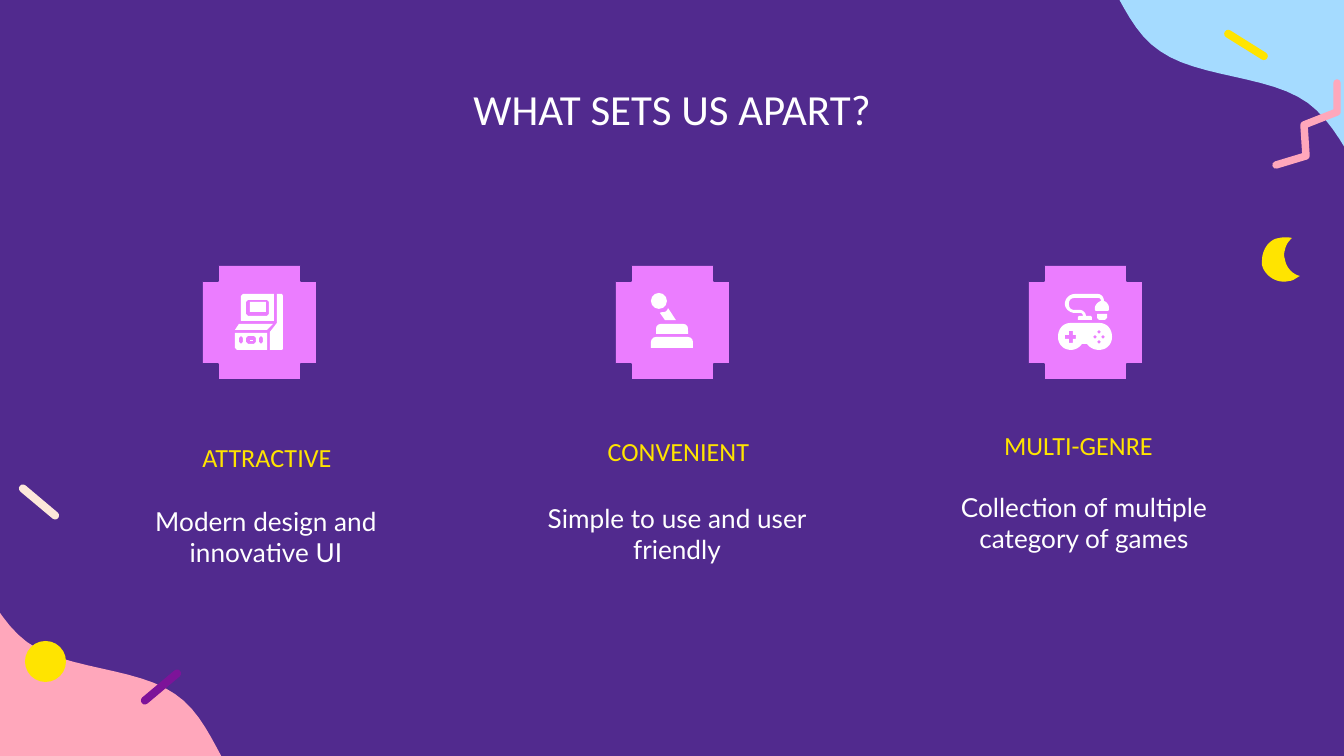
import dataclasses
import typing

import pptx
import pptx.dml.color
import pptx.enum.shapes
import pptx.enum.text
import pptx.oxml
import pptx.oxml.ns
import pptx.util

EMU_PER_PX = 914400 / 134.4
PURPLE, PINK, SKY, SALMON = "512A8E", "EB7DFF", "A5DBFF", "FFA7BB"
YELLOW, WHITE, PLUM, CREAM = "FFE400", "FFFFFF", "7D1399", "FDE8DA"
KIND = pptx.enum.shapes.MSO_SHAPE
CURVE_STEPS = 12
TILE_LEFT, TILE_TOP, TILE_SIZE, TILE_STEP, NOTCH = 203, 266, 113, 413, 15

Point = tuple[float, float]


@dataclasses.dataclass(frozen=True)
class Label:
    wording: str
    box: tuple[int, int, int, int]
    size: int
    font: str
    colour: str


@dataclasses.dataclass(frozen=True)
class Block:
    kind: KIND
    box: tuple[int, int, int, int]
    colour: str
    angle: int = 0
    rounding: float | None = None
    outline: str | None = None


@dataclasses.dataclass(frozen=True)
class Outline:
    contours: tuple[str, ...]
    colour: str = WHITE


def px(length: float) -> int:
    return round(length * EMU_PER_PX)


def rgb(colour: str) -> pptx.dml.color.RGBColor:
    return pptx.dml.color.RGBColor.from_string(colour)


def set_format(target: typing.Any, values: dict[str, typing.Any]) -> None:
    for name, value in values.items():
        setattr(target, name, value)


def paint(shape: typing.Any, colour: str, outline: str | None = None) -> None:
    shape.shadow.inherit = False
    shape.fill.solid()
    shape.fill.fore_color.rgb = rgb(colour)
    if outline:
        shape.line.color.rgb = rgb(outline)
        shape.line.width = pptx.util.Pt(0.75)
    else:
        shape.line.fill.background()


def trace(contour: str) -> list[Point]:
    """Turns 'x,y' corners into points; C starts a cubic curve of three."""
    points: list[Point] = []
    tokens = iter(contour.split())

    def read(token: str) -> Point:
        x, y = token.split(",")
        return int(x), int(y)

    for token in tokens:
        if token != "C":
            points.append(read(token))
            continue
        a, b, c, d = points[-1], *(read(next(tokens)) for _ in range(3))
        for step in range(1, CURVE_STEPS + 1):
            t = step / CURVE_STEPS
            weights = ((1 - t) ** 3, 3 * t * (1 - t) ** 2, 3 * t * t * (1 - t), t ** 3)
            points.append(tuple(sum(w * p[axis] for w, p in zip(weights, (a, b, c, d)))
                                for axis in (0, 1)))
    return points


def build(shapes: typing.Any, contours: list[list[Point]], close: bool = True) -> typing.Any:
    builder = None
    for contour in contours:
        first, *rest = [(px(x), px(y)) for x, y in contour]
        if builder is None:
            builder = shapes.build_freeform(*first)
        else:
            builder.move_to(*first)
        builder.add_line_segments(rest, close=close)
    return builder.convert_to_shape()


def draw(shapes: typing.Any, part: Block | Outline) -> None:
    if isinstance(part, Outline):
        paint(build(shapes, [trace(contour) for contour in part.contours]), part.colour)
        return
    shape = shapes.add_shape(part.kind, *map(px, part.box))
    shape.rotation = part.angle
    if part.rounding is not None:
        shape.adjustments[0] = part.rounding
    paint(shape, part.colour, part.outline)


def draw_zigzag(shapes: typing.Any, corners: str, colour: str) -> None:
    zigzag = build(shapes, [trace(corners)], close=False)
    zigzag.shadow.inherit = False
    zigzag.fill.background()
    zigzag.line.color.rgb = rgb(colour)
    zigzag.line.width = pptx.util.Pt(4)
    stroke = zigzag.element.spPr.find(pptx.oxml.ns.qn("a:ln"))
    stroke.set("cap", "rnd")
    stroke.append(pptx.oxml.parse_xml(f'<a:round {pptx.oxml.ns.nsdecls("a")}/>'))


def draw_label(shapes: typing.Any, label: Label) -> None:
    frame = shapes.add_textbox(*map(px, label.box)).text_frame
    set_format(frame, {"word_wrap": True,
                       "vertical_anchor": pptx.enum.text.MSO_ANCHOR.MIDDLE,
                       **{f"margin_{side}": px(13) for side in ("left", "top", "right", "bottom")}})
    paragraph = frame.paragraphs[0]
    paragraph.alignment = pptx.enum.text.PP_ALIGN.CENTER
    run = paragraph.add_run()
    run.text = label.wording
    set_format(run.font, {"size": pptx.util.Pt(label.size), "name": label.font})
    run.font.color.rgb = rgb(label.colour)


def strip(x: int, y: int, angle: int, colour: str) -> Block:
    return Block(KIND.ROUNDED_RECTANGLE, (x - 25, y - 4, 50, 8), colour, angle, 0.5)


def tile(left: int) -> list[Block]:
    far = TILE_SIZE - NOTCH
    notches = [Block(KIND.RECTANGLE, (left + x, TILE_TOP + y, NOTCH, NOTCH), PURPLE, outline=PURPLE)
               for y in (0, far) for x in (0, far)]
    return [Block(KIND.RECTANGLE, (left, TILE_TOP, TILE_SIZE, TILE_SIZE), PINK), *notches]


def diamond(x: int, y: int) -> str:
    return f"{x},{y - 2} {x + 2},{y} {x},{y + 2} {x - 2},{y}"


WAVE = ("1438,222 C 1434,280 1407,234 1386,214 C 1364,194 1345,130 1308,103 "
        "C 1270,75 1198,78 1160,51 C 1122,26 1113,-31 1082,-54 C 1051,-77 996,-75 976,-87 "
        "C 957,-99 892,-121 965,-129 C 1039,-137 1337,-192 1417,-133 C 1496,-75 1443,164 1438,222")
MOON = ("1263,254 C 1265,246 1271,239 1279,238 C 1284,237 1288,237 1292,238 "
        "C 1288,242 1286,245 1285,250 C 1284,253 1284,257 1285,259 C 1286,267 1292,274 1300,276 "
        "C 1296,278 1293,281 1289,281 C 1277,284 1265,276 1262,265 C 1262,261 1262,257 1263,254")
ARCADE = [
    Block(KIND.RECTANGLE, (250, 340, 3, 1), WHITE),
    Block(KIND.RECTANGLE, (250, 302, 16, 10), WHITE),
    Outline(("277,294 277,323 270,332 270,350 282,350 283,349 283,296 282,294",)),
    Outline(("239,324 235,330 267,330 273,324",)),
    Outline(("235,333 235,348 237,350 267,350 267,333",
             "241,336 243,338 243,342 241,344 239,342 239,338",
             "248,336 254,336 256,338 256,342 254,344 248,344 246,342 246,338",
             "261,336 263,338 263,342 261,344 259,342 259,338")),
    Outline(("243,294 241,296 241,321 274,321 274,294",
             "248,300 267,300 269,302 269,314 267,316 248,316 246,314 246,302")),
]
JOYSTICK = [
    Block(KIND.OVAL, (651, 293, 16, 16), WHITE),
    Block(KIND.ROUND_2_SAME_RECTANGLE, (651, 337, 42, 11), WHITE, rounding=0.45),
    Block(KIND.ROUND_2_SAME_RECTANGLE, (656, 324, 32, 10), WHITE, rounding=0.45),
    Outline(("668,308 C 668,309 667,311 665,312 C 664,312 661,312 660,313 665,320 676,320",)),
]
GAMEPAD = [
    Outline(("1071,323 C 1063,323 1058,329 1058,337 C 1058,344 1063,350 1071,350 "
             "C 1075,350 1079,348 1082,344 1087,344 C 1090,348 1094,350 1099,350 "
             "C 1107,350 1112,344 1112,337 C 1112,329 1107,323 1099,323",
             "1069,331 1073,331 1073,335 1076,335 1076,339 1073,339 "
             "1073,343 1069,343 1069,339 1065,339 1065,335 1069,335",
             diamond(1099, 332), diamond(1095, 337), diamond(1103, 337), diamond(1099, 342))),
    Outline(("1075,294 C 1070,294 1065,298 1065,304 C 1065,309 1070,313 1075,313 1080,313 "
             "C 1082,313 1083,314 1083,316 1079,316 1078,317 1078,320 1092,320 1092,317 1091,316 "
             "1086,316 C 1086,313 1083,310 1080,310 1075,310 C 1071,310 1069,308 1069,304 "
             "C 1069,300 1071,298 1075,298 1098,298 C 1100,298 1101,299 1101,301 "
             "C 1098,302 1095,305 1095,308 1095,310 1096,311 1108,311 1109,310 1109,308 "
             "C 1109,305 1107,302 1104,301 C 1104,297 1101,294 1098,294",)),
    Outline(("1097,314 1097,318 1099,320 1105,320 1107,318 1107,314",)),
]
CONFETTI = [
    strip(1246, 45, 32, YELLOW),
    Block(KIND.OVAL, (25, 641, 41, 41), YELLOW),
    strip(161, 687, -40, PLUM),
    Outline((MOON,), YELLOW),
    strip(39, 502, 40, CREAM),
]
LABELS = [
    Label("WHAT SETS US APART?", (106, 66, 1133, 84), 23, "Calibri", WHITE),
    Label("ATTRACTIVE", (114, 430, 306, 55), 14, "Calibri", YELLOW),
    Label("Modern design and innovative UI", (113, 488, 306, 97), 14, "Lato", WHITE),
    Label("CONVENIENT", (519, 418, 319, 67), 14, "Calibri", YELLOW),
    Label("Simple to use and user friendly", (524, 485, 306, 97), 14, "Lato", WHITE),
    Label("MULTI-GENRE", (919, 418, 319, 55), 14, "Calibri", YELLOW),
    Label("Collection of multiple category of games", (931, 474, 306, 97), 14, "Lato", WHITE),
]


def main() -> None:
    deck = pptx.Presentation()
    set_format(deck, {"slide_width": px(1344), "slide_height": px(756)})
    slide = deck.slides.add_slide(deck.slide_layouts[6])
    slide.background.fill.solid()
    slide.background.fill.fore_color.rgb = rgb(PURPLE)
    wave = trace(WAVE)
    paint(build(slide.shapes, [wave]), SKY)
    draw_zigzag(slide.shapes, "1337,83 1337,112 1304,125 1306,156 1276,165", SALMON)
    paint(build(slide.shapes, [[(1335 - x, 745 - y) for x, y in wave]]), SALMON)
    for part in CONFETTI:
        draw(slide.shapes, part)
    for label in LABELS:
        draw_label(slide.shapes, label)
    for column, icon in enumerate((ARCADE, JOYSTICK, GAMEPAD)):
        for parts in (tile(TILE_LEFT + column * TILE_STEP), icon):
            group = slide.shapes.add_group_shape()
            for part in parts:
                draw(group.shapes, part)
    deck.save("out.pptx")


if __name__ == "__main__":
    main()
